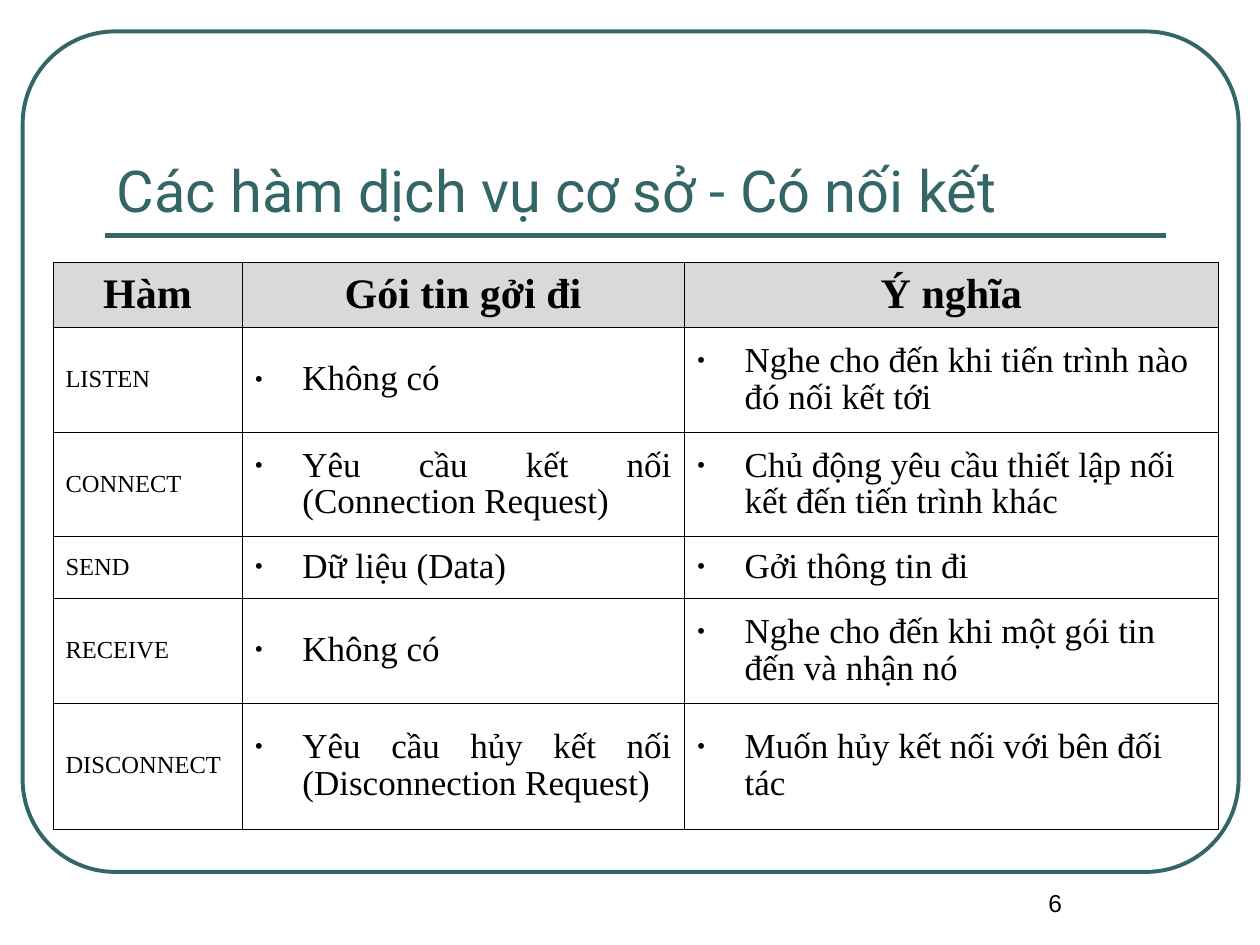
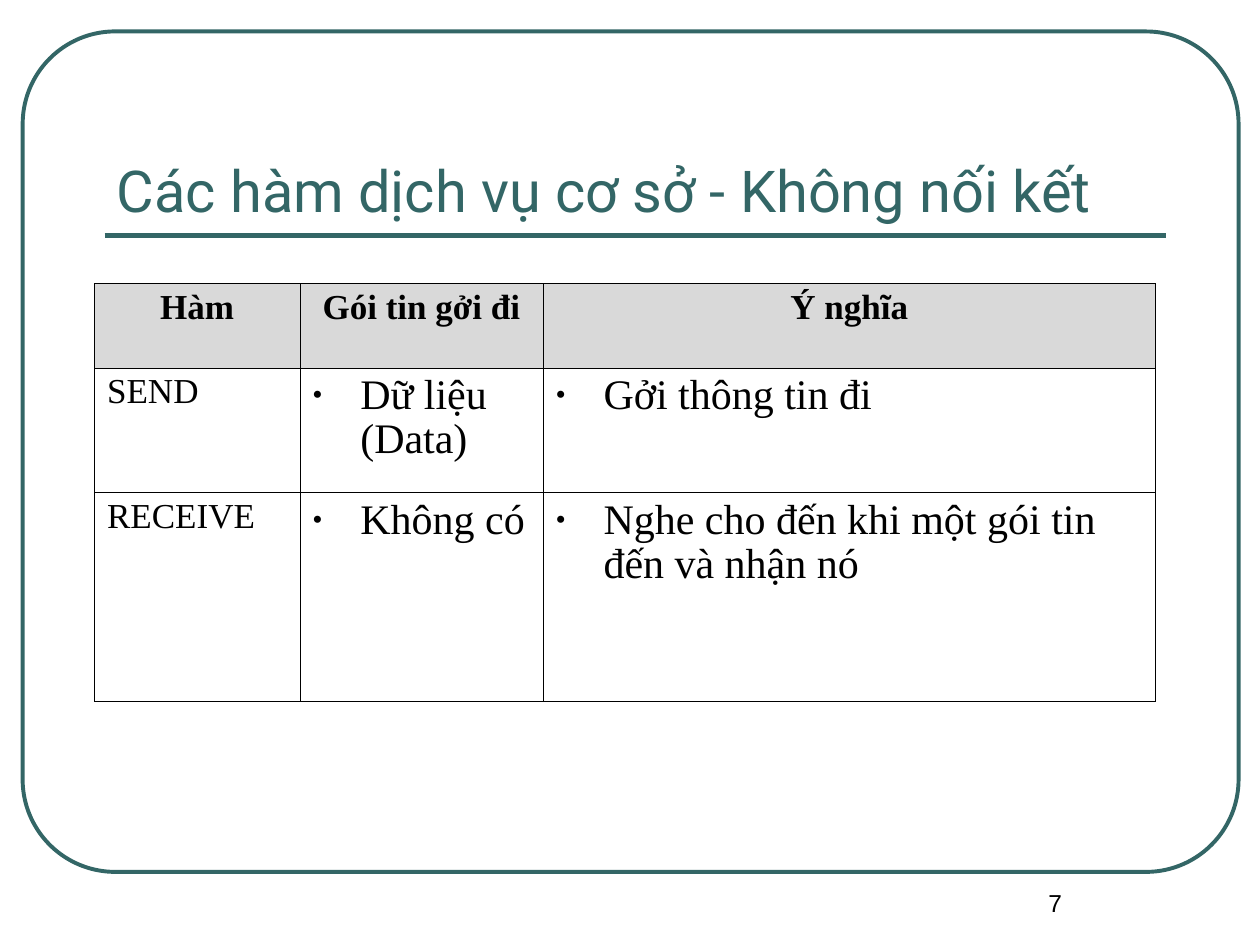
from lxml import etree
from pptx import Presentation
from pptx.dml import color
from pptx.enum import shapes, text
from pptx.oxml import ns
from pptx.util import Inches, Pt

TEAL, BLACK, HEADER_GREY = "336666", "000000", "D9D9D9"
TITLE_FONT, TABLE_FONT, NUMBER_FONT = "Roboto", "Times New Roman", "Arial"
LEFT, CENTER, JUSTIFY = (text.PP_ALIGN.LEFT, text.PP_ALIGN.CENTER,
                         text.PP_ALIGN.JUSTIFY)
TOP, MIDDLE, BOTTOM = (text.MSO_ANCHOR.TOP, text.MSO_ANCHOR.MIDDLE,
                       text.MSO_ANCHOR.BOTTOM)
HEADINGS = ("Hàm", "Gói tin gởi đi", "Ý nghĩa")


def rgb(value):
    """Turn a hex string into a colour."""
    return color.RGBColor.from_string(value)


def add_xml(parent, tag, **attributes):
    """Append a DrawingML element and return it."""
    return etree.SubElement(parent, ns.qn(tag), attributes)


def style_paragraph(paragraph, words, size, font, hue=BLACK, bold=False, align=LEFT):
    """Write one paragraph in a single style."""
    paragraph.text = words
    paragraph.alignment = align
    paragraph.font.name = font
    paragraph.font.size = Pt(size)
    paragraph.font.bold = bold
    paragraph.font.color.rgb = rgb(hue)


def add_label(slide, box, words, anchor=TOP, **style):
    """Place a one-paragraph text box."""
    frame = slide.shapes.add_textbox(*map(Inches, box)).text_frame
    frame.word_wrap = True
    frame.vertical_anchor = anchor
    style_paragraph(frame.paragraphs[0], words, **style)


def add_frame(slide, box):
    """Draw the rounded outline and the rule below the title."""
    left, top, width, height = box
    outline = slide.shapes.add_shape(
        shapes.MSO_SHAPE.ROUNDED_RECTANGLE, *map(Inches, box))
    outline.adjustments[0] = 0.11
    outline.shadow.inherit = False
    outline.fill.background()
    outline.line.color.rgb = rgb(TEAL)
    outline.line.width = Pt(2.24)

    rule_y = Inches(top + 1.62)
    rule = slide.shapes.add_connector(
        shapes.MSO_CONNECTOR.STRAIGHT, Inches(left + 0.65), rule_y,
        Inches(left + width - 0.58), rule_y)
    rule.line.color.rgb = rgb(TEAL)
    rule.line.width = Pt(3)
    add_xml(rule.element.spPr, "a:effectLst")


def add_borders(cell):
    """Draw a thin black line on all four sides of a cell."""
    properties = cell._tc.get_or_add_tcPr()
    for side in ("a:lnL", "a:lnR", "a:lnT", "a:lnB"):
        line = add_xml(properties, side, w=str(Pt(0.45)))
        add_xml(add_xml(line, "a:solidFill"), "a:srgbClr", val=BLACK)


def hang_indent(paragraph, bulleted):
    """Give a paragraph a hanging indent, with a small bullet if asked."""
    properties = paragraph._p.get_or_add_pPr()
    properties.set("marL", str(Inches(0.38)))
    properties.set("indent", str(-Inches(0.38)))
    if bulleted:
        add_xml(add_xml(properties, "a:buClr"), "a:srgbClr", val=BLACK)
        add_xml(properties, "a:buSzPct", val="70000")
        add_xml(properties, "a:buFont", typeface=TABLE_FONT)
        add_xml(properties, "a:buChar", char="•")
    else:
        add_xml(properties, "a:buNone")


def fill_cell(cell, words, anchor, heading, bulleted, **style):
    """Write and format one table cell."""
    add_borders(cell)
    if heading:
        cell.fill.solid()
        cell.fill.fore_color.rgb = rgb(HEADER_GREY)
    else:
        cell.fill.background()
    cell.vertical_anchor = anchor
    cell.margin_left = cell.margin_right = Inches(0.1)
    cell.margin_top = cell.margin_bottom = Inches(0.05)
    paragraph = cell.text_frame.paragraphs[0]
    hang_indent(paragraph, bulleted)
    style_paragraph(paragraph, words, font=TABLE_FONT, bold=heading, **style)
    paragraph.line_spacing = 0.95


def add_function_table(slide, origin, widths, heights, functions, sizes,
                       anchor=TOP, packet_align=LEFT):
    """Build a table of functions; sizes are for heading, name and description."""
    box = (*origin, sum(widths), sum(heights))
    table = slide.shapes.add_table(
        len(heights), len(widths), *map(Inches, box)).table
    table.first_row = table.horz_banding = False
    for column, width in zip(table.columns, widths):
        column.width = Inches(width)
    for row, height in zip(table.rows, heights):
        row.height = Inches(height)

    heading_size, name_size, description_size = sizes
    body_sizes = (name_size, description_size, description_size)
    body_aligns = (LEFT, packet_align, LEFT)
    for r, entries in enumerate([HEADINGS, *functions]):
        for c, words in enumerate(entries):
            heading = r == 0
            fill_cell(table.cell(r, c), words, anchor, heading,
                      bulleted=not heading and c > 0,
                      size=heading_size if heading else body_sizes[c],
                      align=CENTER if heading else body_aligns[c])


def add_service_slide(deck, number, title, **table):
    """Add a slide with frame, page number, title and function table."""
    slide = deck.slides.add_slide(deck.slide_layouts[6])
    add_frame(slide, (0.18, 0.25, 9.65, 6.67))
    add_label(slide, (7.5, 7, 1.75, 0.5), str(number),
              size=14, font=NUMBER_FONT, align=CENTER)
    add_label(slide, (0.83, 0.58, 8.42, 1.25), title, anchor=BOTTOM,
              size=33, font=TITLE_FONT, hue=TEAL)
    add_function_table(slide, **table)


deck = Presentation()
deck.slide_width, deck.slide_height = Inches(10), Inches(7.5)

send = ("SEND", "Dữ liệu (Data)", "Gởi thông tin đi")
receive = ("RECEIVE", "Không có", "Nghe cho đến khi một gói tin đến và nhận nó")

add_service_slide(
    deck, 6, "Các hàm dịch vụ cơ sở - Có nối kết",
    origin=(0.42, 2.08), widths=(1.5, 3.51, 4.24),
    heights=(0.52, 0.83, 0.83, 0.49, 0.83, 1),
    functions=[
        ("LISTEN", "Không có", "Nghe cho đến khi tiến trình nào đó nối kết tới"),
        ("CONNECT", "Yêu cầu kết nối (Connection Request)",
         "Chủ động yêu cầu thiết lập nối kết đến tiến trình khác"),
        send,
        receive,
        ("DISCONNECT", "Yêu cầu hủy kết nối (Disconnection Request)",
         "Muốn hủy kết nối với bên đối tác"),
    ],
    sizes=(24, 14, 20), anchor=MIDDLE, packet_align=JUSTIFY)

add_service_slide(
    deck, 7, "Các hàm dịch vụ cơ sở - Không nối kết",
    origin=(0.75, 2.25), widths=(1.63, 1.93, 4.86), heights=(0.67, 0.99, 1.66),
    functions=[send, receive], sizes=(20, 20, 24))

deck.save("out.pptx")
